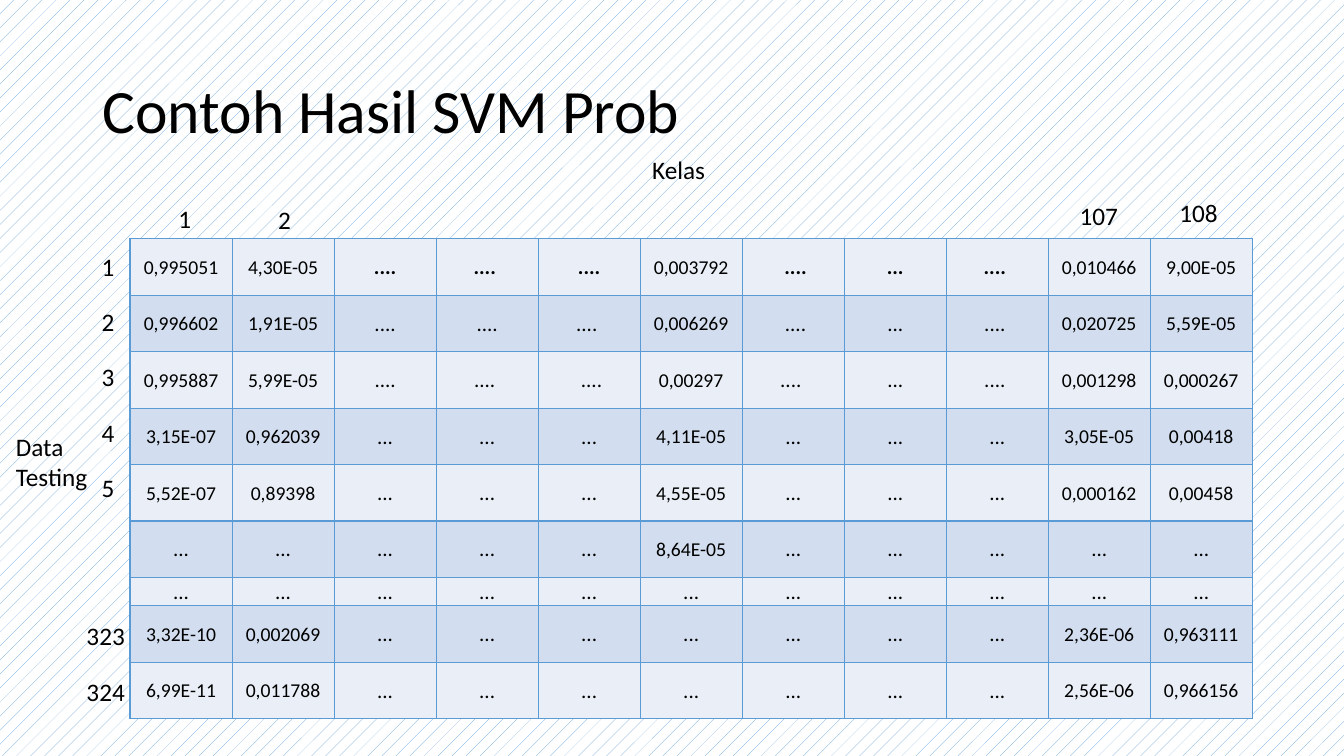
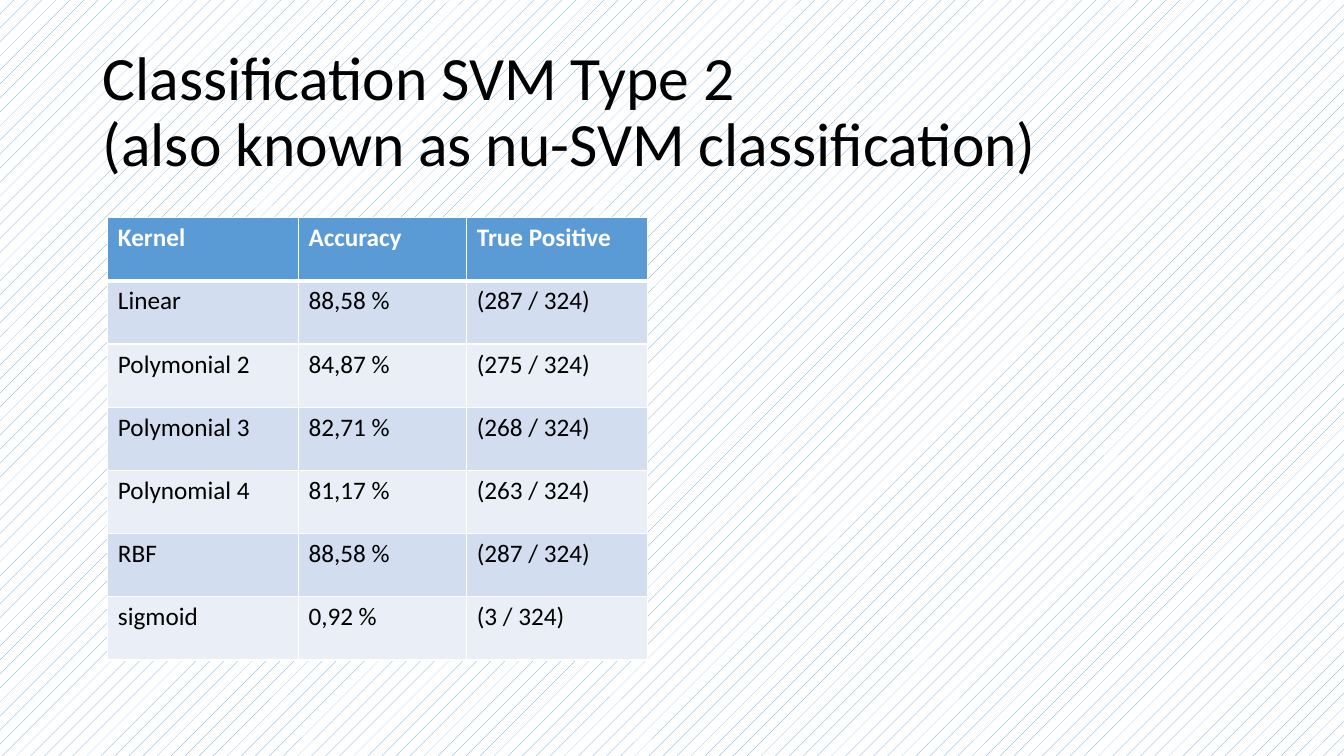
from lxml.etree import SubElement as Sub
from pptx import Presentation
from pptx.dml.color import RGBColor as RGB
from pptx.enum.dml import MSO_PATTERN as PATTERN
from pptx.enum.text import MSO_ANCHOR as ANCHOR, PP_ALIGN as ALIGN
from pptx.oxml.ns import qn
from pptx.util import Emu, Pt

SCALE = 9144
FONT = "Calibri"
BLACK, WHITE, BLUE = "000000", "FFFFFF", "5B9BD5"
PALE, MID = "EAEFF7", "D2DEEF"

PROBS = """0,995051|4,30E-05|....|.... |....|0,003792| ....|...|.... |0,010466|9,00E-05
0,996602|1,91E-05| .... |....|.... |0,006269| ....|...|.... |0,020725|5,59E-05
0,995887|5,99E-05|....|.... | ....|0,00297|.... |...|.... |0,001298|0,000267
3,15E-07|0,962039|...|...|...|4,11E-05|...|...|...|3,05E-05|0,00418
5,52E-07|0,89398|...|...|...|4,55E-05|...|...|...|0,000162|0,00458
...|...|...|...|...|8,64E-05|...|...|...|...|...
...|...|...|...|...|...|...|...|...|...|...
3,32E-10|0,002069|...|...|...|...|...|...|...|2,36E-06|0,963111
6,99E-11|0,011788|...|...|...|...|...|...|...|2,56E-06|0,966156"""

KERNELS = """Kernel|Accuracy|True Positive
Linear|88,58 %|(287 / 324)
Polymonial 2|84,87 %|(275 / 324)
Polymonial 3|82,71 %|(268 / 324)
Polynomial 4|81,17 %|(263 / 324)
RBF|88,58 %|(287 / 324)
sigmoid|0,92 %|(3 / 324)"""


def px(num):
    """Turn px into EMU."""
    return Emu(round(num * SCALE))


def paint(fill, color):
    """Fill with one solid colour."""
    fill.solid()
    fill.fore_color.rgb = RGB.from_string(color)


def style(frame, size, color=BLACK, bold=False):
    """Format every run in a text frame."""
    for para in frame.paragraphs:
        for run in para.runs:
            run.font.name = FONT
            run.font.size = Pt(size)
            run.font.bold = bold
            run.font.color.rgb = RGB.from_string(color)


def write(slide, text, left, top, width, height, size=18):
    """Add a wrapped text box and return its frame."""
    box = slide.shapes.add_textbox(px(left), px(top), px(width), px(height))
    frame = box.text_frame
    frame.word_wrap = True
    frame.text = text
    style(frame, size)
    return frame


def title(slide, text):
    """Add the slide title."""
    frame = write(slide, text, 92, 40, 1150, 145, 44)
    frame.vertical_anchor = ANCHOR.MIDDLE
    frame.paragraphs[0].line_spacing = 0.9


def label(slide, text, left, top, width=28, height=40):
    """Add a label beside the table."""
    write(slide, text, left, top, width, height).margin_right = 0


def edge(cell, color, top=1, bottom=1):
    """Draw the four borders of a cell."""
    props = cell._tc.get_or_add_tcPr()
    for side, width in (("L", 1), ("R", 1), ("T", top), ("B", bottom)):
        line = Sub(props, qn(f"a:ln{side}"), w=str(Pt(width)))
        Sub(Sub(line, qn("a:solidFill")), qn("a:srgbClr"), val=color)


def grid(slide, rows, left, top, width, heights):
    """Add an unstyled table with text and return it."""
    shape = slide.shapes.add_table(
        len(rows), len(rows[0]), px(left), px(top), px(width), px(sum(heights)))
    table = shape.table
    table.first_row = table.horz_banding = False
    for row, texts, height in zip(table.rows, rows, heights):
        row.height = px(height)
        for cell, text in zip(row.cells, texts):
            cell.text_frame.text = text
    return table


def split(block):
    """Split a text block into table rows."""
    return [line.split("|") for line in block.split("\n")]


def probs(slide):
    """Add the probability table."""
    heights = [56] * 6 + [28] + [56] * 2
    table = grid(slide, split(PROBS), 129, 237, 1113, heights)
    for num, row in enumerate(table.rows):
        for cell in row.cells:
            dots = "..." in cell.text_frame.text
            cell.margin_left = cell.margin_right = cell.margin_top = px(1)
            cell.margin_bottom = 0
            cell.vertical_anchor = ANCHOR.MIDDLE
            cell.text_frame.paragraphs[0].alignment = ALIGN.CENTER
            style(cell.text_frame, 15 if dots else 14, bold=dots and num == 0)
            edge(cell, BLUE)
            paint(cell.fill, MID if num % 2 else PALE)


def kernels(slide):
    """Add the kernel accuracy table."""
    table = grid(slide, split(KERNELS), 107, 216, 535, [62.7] * 7)
    for col, width in zip(table.columns, (189, 167, 179)):
        col.width = px(width)
    for num, row in enumerate(table.rows):
        head = num == 0
        for cell in row.cells:
            style(cell.text_frame, 18, WHITE if head else BLACK, head)
            edge(cell, WHITE, 3 if num == 1 else 1, 3 if head else 1)
            paint(cell.fill, BLUE if head else MID if num % 2 else PALE)


def labels(slide):
    """Name the classes and the test rows."""
    label(slide, "Kelas", 637, 148, 97)
    for text, left, top, width in (("1", 167, 197, 28), ("2", 266, 198, 28),
                                   ("107", 1061, 194, 67), ("108", 1160, 191, 67)):
        label(slide, text, left, top, width)
    for num in range(5):
        label(slide, str(num + 1), 91, 244 + 55 * num)
    for num in range(2):
        label(slide, str(323 + num), 76, 610 + 56 * num, 60)
    label(slide, "Data Testing", 6, 423, 97, 71)


def backdrop(master):
    """Give all slides the patterned background."""
    fill = master.background.fill
    fill.patterned()
    fill.pattern = PATTERN.PERCENT_5
    fill.fore_color.rgb = RGB.from_string(BLUE)
    fill.back_color.rgb = RGB.from_string(WHITE)


def main():
    """Build and save the slides."""
    prs = Presentation()
    prs.slide_width, prs.slide_height = px(1333), px(750)
    backdrop(prs.slide_master)
    blank = prs.slide_layouts[6]

    slide = prs.slides.add_slide(blank)
    title(slide, "Contoh Hasil SVM Prob")
    probs(slide)
    labels(slide)

    slide = prs.slides.add_slide(blank)
    title(slide, "Classification SVM Type 2 \v(also known as nu-SVM classification)")
    kernels(slide)
    prs.save("out.pptx")


if __name__ == "__main__":
    main()
